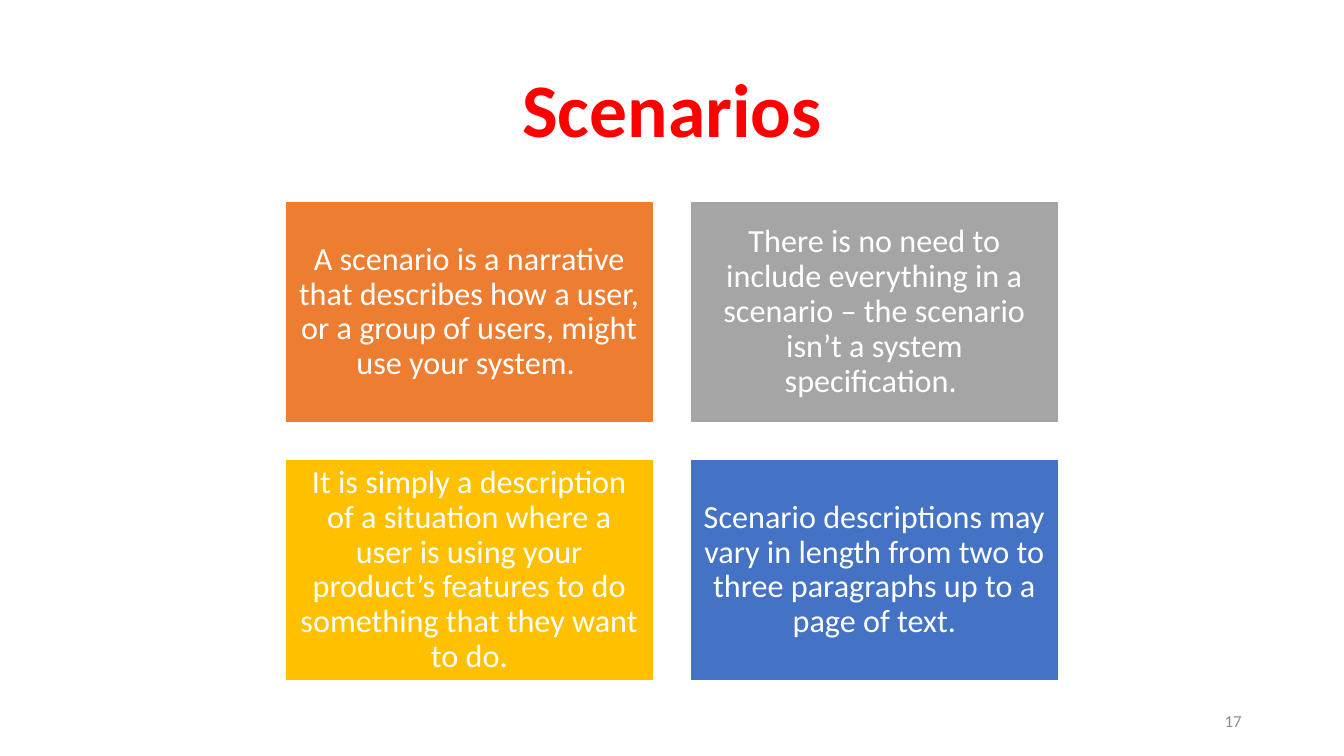
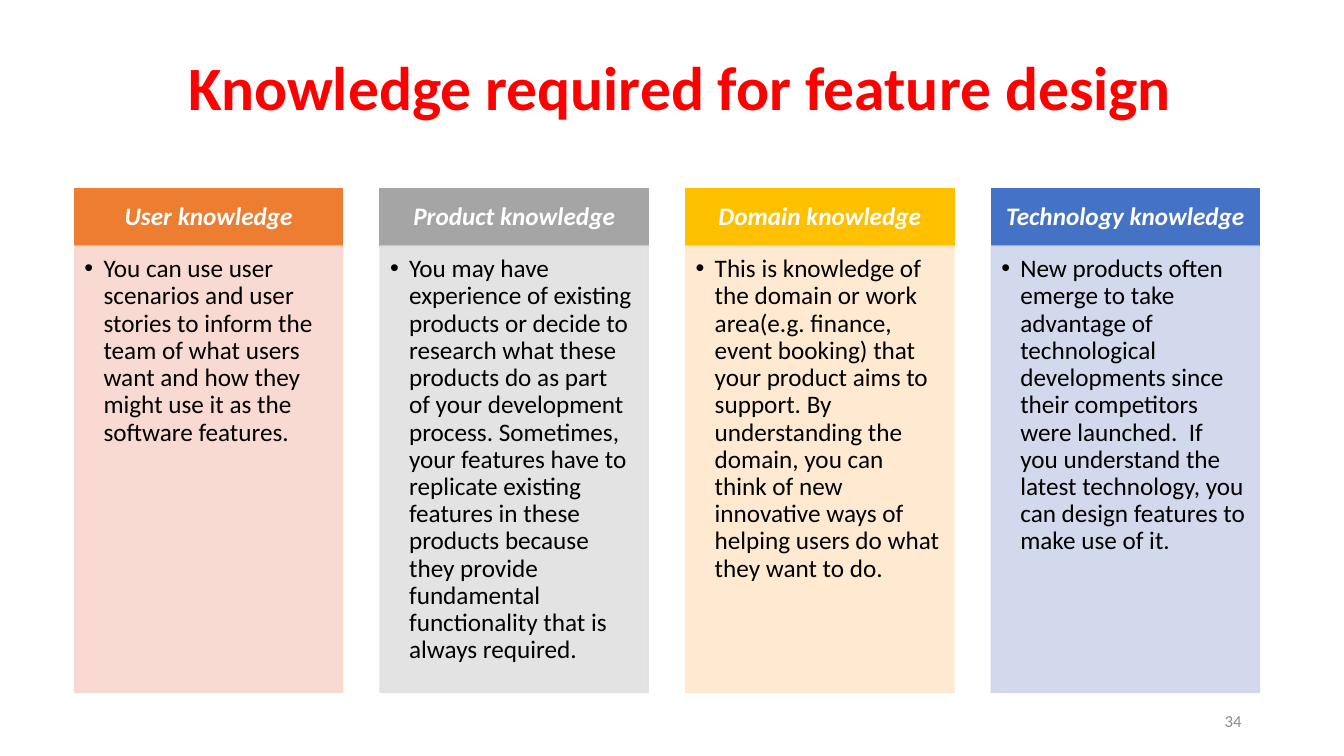
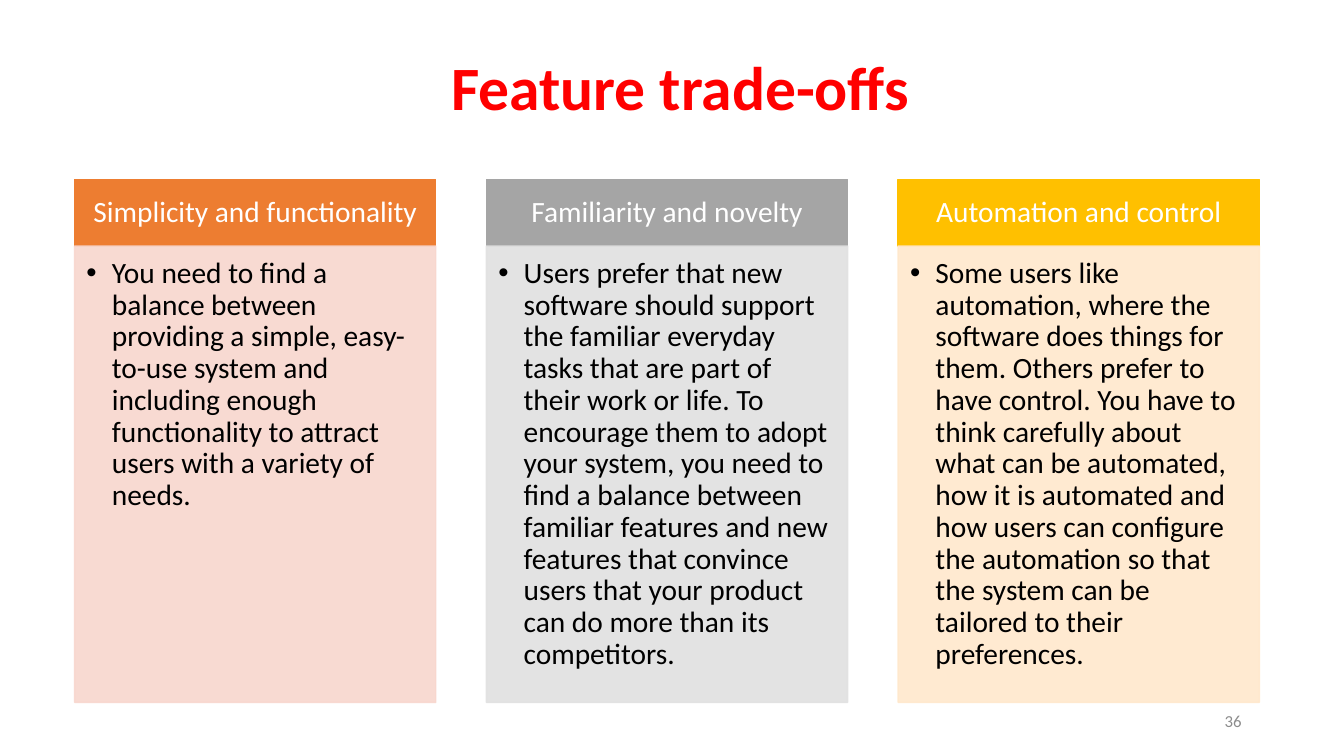
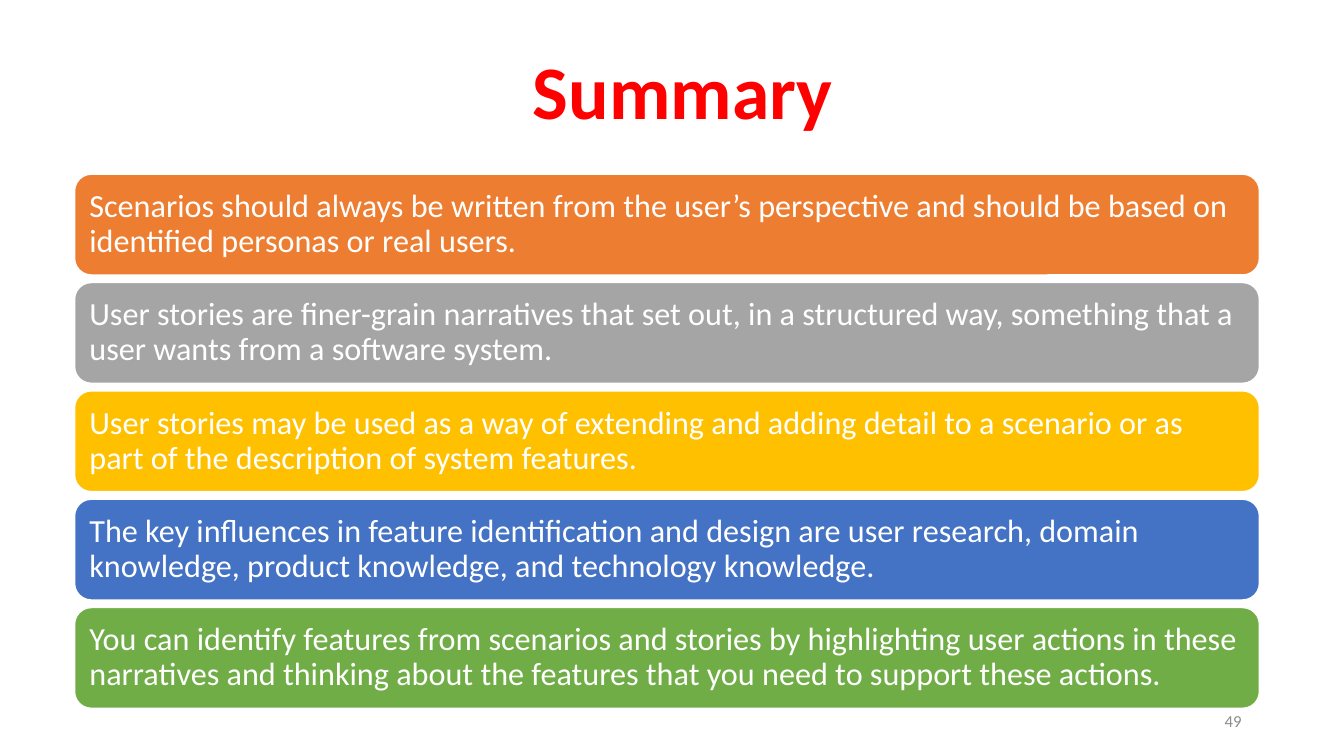
from dataclasses import dataclass

from lxml.etree import SubElement
from pptx import Presentation
from pptx.dml.color import RGBColor
from pptx.enum.shapes import MSO_SHAPE
from pptx.enum.text import MSO_ANCHOR, MSO_AUTO_SIZE, PP_ALIGN
from pptx.oxml.ns import qn
from pptx.shapes.autoshape import Shape
from pptx.slide import Slide
from pptx.text.text import TextFrame, _Paragraph
from pptx.util import Cm, Pt

FONT = "Calibri"
RED = RGBColor(0xFF, 0x00, 0x00)
WHITE = RGBColor(0xFF, 0xFF, 0xFF)
BLACK = RGBColor(0x00, 0x00, 0x00)
PAGE_GREY = RGBColor(0x8C, 0x8C, 0x8C)
ORANGE = RGBColor(0xED, 0x7D, 0x31)
GREY = RGBColor(0xA5, 0xA5, 0xA5)
GOLD = RGBColor(0xFF, 0xC0, 0x00)
BLUE = RGBColor(0x44, 0x72, 0xC4)
GREEN = RGBColor(0x70, 0xAD, 0x47)
ACCENTS = (ORANGE, GREY, GOLD, BLUE, GREEN)
TINTS = (
    RGBColor(0xF8, 0xD7, 0xCE),
    RGBColor(0xE1, 0xE1, 0xE1),
    RGBColor(0xFF, 0xE8, 0xCC),
    RGBColor(0xCF, 0xD5, 0xEA),
)
TINT_OPACITY = 90

# All lengths below are in centimetres.
CONTENT_LEFT = 1.88
CONTENT_WIDTH = 29.86
COLUMN_BODY_TOP = 6.2
COLUMN_GAP_SHARE = 0.14


@dataclass(frozen=True)
class Box:
    left: float
    top: float
    width: float
    height: float


@dataclass(frozen=True)
class TextStyle:
    size: float
    color: RGBColor
    align: PP_ALIGN = PP_ALIGN.LEFT
    bold: bool = False
    italic: bool = False
    line_spacing: float = 0.9


@dataclass(frozen=True)
class Insets:
    left: float = 0.25
    top: float = 0.25
    right: float = 0.25
    bottom: float = 0.25


@dataclass(frozen=True)
class Column:
    heading: str
    body: str


@dataclass(frozen=True)
class ColumnLayout:
    heading_height: float
    body_height: float
    heading_style: TextStyle
    heading_insets: Insets
    body_insets: Insets
    indent: float


TILE_STYLE = TextStyle(23, WHITE, PP_ALIGN.CENTER)
ROW_STYLE = TextStyle(23, WHITE)
PAGE_STYLE = TextStyle(12, PAGE_GREY, PP_ALIGN.RIGHT, line_spacing=1.0)
PAGE_BOX = Box(23.92, 17.66, 7.62, 1.01)
COLUMN_TITLE_BOX = Box(2.54, 1.17, 29.21, 2.23)

SCENARIO_TILES = (
    "A scenario is a narrative that describes how a user, or a group of users, "
    "might use your system. ",
    "There is no need to include everything in a scenario – the scenario isn’t "
    "a system specification. ",
    "It is simply a description of a situation where a user is using your "
    "product’s features to do something that they want to do.",
    "Scenario descriptions may vary in length from two to three paragraphs up "
    "to a page of text.",
)
KNOWLEDGE_COLUMNS = (
    Column(
        "User knowledge",
        "You can use user scenarios and user stories to inform the team of what "
        "users want and how they might use it as the software features.",
    ),
    Column(
        "Product knowledge",
        "You may have experience of existing products or decide to research what "
        "these products do as part of your development process. Sometimes, your "
        "features have to replicate existing features in these products because "
        "they provide fundamental functionality that is always required.",
    ),
    Column(
        "Domain knowledge",
        "This is knowledge of the domain or work area(e.g. finance, event "
        "booking) that your product aims to support. By understanding the "
        "domain, you can think of new innovative ways of helping users do what "
        "they want to do.",
    ),
    Column(
        "Technology knowledge",
        "New products often emerge to take advantage of technological "
        "developments since their competitors were launched.  If you understand "
        "the latest technology, you can design features to make use of it.",
    ),
)
KNOWLEDGE_LAYOUT = ColumnLayout(
    heading_height=1.45,
    body_height=11.25,
    heading_style=TextStyle(18, WHITE, PP_ALIGN.CENTER, bold=True, italic=True),
    heading_insets=Insets(0.36, 0.2, 0.36, 0.2),
    body_insets=Insets(0.25, 0.25, 0.36, 0.4),
    indent=0.48,
)
TRADE_OFF_COLUMNS = (
    Column(
        "Simplicity and functionality ",
        "You need to find a balance between providing a simple, easy-to-use "
        "system and including enough functionality to attract users with a "
        "variety of needs.",
    ),
    Column(
        "Familiarity and novelty",
        "Users prefer that new software should support the familiar everyday "
        "tasks that are part of their work or life. To encourage them to adopt "
        "your system, you need to find a balance between familiar features and "
        "new features that convince users that your product can do more than "
        "its competitors.",
    ),
    Column(
        "Automation and control",
        "Some users like automation, where the software does things for them. "
        "Others prefer to have control. You have to think carefully about what "
        "can be automated, how it is automated and how users can configure the "
        "automation so that the system can be tailored to their preferences.",
    ),
)
TRADE_OFF_LAYOUT = ColumnLayout(
    heading_height=1.68,
    body_height=11.5,
    heading_style=TextStyle(21, WHITE, PP_ALIGN.CENTER),
    heading_insets=Insets(0.41, 0.23, 0.41, 0.23),
    body_insets=Insets(0.3, 0.3, 0.41, 0.46),
    indent=0.64,
)
SUMMARY_ROWS = (
    "Scenarios should always be written from the user’s perspective and should "
    "be based on identified personas or real users.",
    "User stories are finer-grain narratives that set out, in a structured way, "
    "something that a user wants from a software system.",
    "User stories may be used as a way of extending and adding detail to a "
    "scenario or as part of the description of system features.",
    "The key influences in feature identification and design are user research, "
    "domain knowledge, product knowledge, and technology knowledge.",
    "You can identify features from scenarios and stories by highlighting user "
    "actions in these narratives and thinking about the features that you need "
    "to support these actions.",
)


def write_text(
    frame: TextFrame,
    text: str,
    style: TextStyle,
    insets: Insets | None = None,
    anchor: MSO_ANCHOR = MSO_ANCHOR.MIDDLE,
) -> _Paragraph:
    frame.word_wrap = True
    frame.auto_size = MSO_AUTO_SIZE.NONE
    frame.vertical_anchor = anchor
    if insets:
        frame.margin_left = Cm(insets.left)
        frame.margin_top = Cm(insets.top)
        frame.margin_right = Cm(insets.right)
        frame.margin_bottom = Cm(insets.bottom)
    paragraph = frame.paragraphs[0]
    paragraph.text = text
    paragraph.alignment = style.align
    paragraph.line_spacing = style.line_spacing
    font = paragraph.font
    font.name = FONT
    font.size = Pt(style.size)
    font.bold = style.bold
    font.italic = style.italic
    font.color.rgb = style.color
    return paragraph


def add_bullet(paragraph: _Paragraph, indent: float) -> None:
    """Give the paragraph a black round bullet with a hanging indent."""
    properties = paragraph._p.get_or_add_pPr()
    properties.set("marL", str(Cm(indent)))
    properties.set("indent", str(-Cm(indent)))
    bullet_color = SubElement(properties, qn("a:buClr"))
    SubElement(bullet_color, qn("a:srgbClr"), val=str(BLACK))
    SubElement(properties, qn("a:buFont"), typeface="Arial")
    SubElement(properties, qn("a:buChar"), char="•")
    # The schema wants the default run properties after the bullet.
    properties.append(properties.find(qn("a:defRPr")))


def add_panel(
    slide: Slide,
    kind: MSO_SHAPE,
    box: Box,
    fill: RGBColor,
    line: RGBColor,
) -> Shape:
    shape = slide.shapes.add_shape(
        kind, Cm(box.left), Cm(box.top), Cm(box.width), Cm(box.height)
    )
    shape.shadow.inherit = False
    shape.fill.solid()
    shape.fill.fore_color.rgb = fill
    shape.line.color.rgb = line
    shape.line.width = Pt(1)
    return shape


def set_opacity(shape: Shape, percent: int) -> None:
    """Apply the opacity to both the fill and the outline."""
    for color in shape._element.spPr.iter(qn("a:srgbClr")):
        SubElement(color, qn("a:alpha"), val=str(percent * 1000))


def add_titled_slide(
    presentation: Presentation, title: str, title_box: Box, size: float, number: int
) -> Slide:
    slide = presentation.slides.add_slide(
        presentation.slide_layouts.get_by_name("Title Only")
    )
    heading = slide.shapes.title
    heading.left, heading.top = Cm(title_box.left), Cm(title_box.top)
    heading.width, heading.height = Cm(title_box.width), Cm(title_box.height)
    style = TextStyle(size, RED, PP_ALIGN.CENTER, bold=True)
    write_text(heading.text_frame, title, style)

    page_number = slide.shapes.add_textbox(
        Cm(PAGE_BOX.left), Cm(PAGE_BOX.top), Cm(PAGE_BOX.width), Cm(PAGE_BOX.height)
    )
    write_text(page_number.text_frame, str(number), PAGE_STYLE)
    return slide


def add_tiles(slide: Slide, texts: tuple[str, ...]) -> None:
    left, top, width, height, gap = 7.19, 5.08, 9.28, 5.57, 0.93
    for index, (text, color) in enumerate(zip(texts, ACCENTS)):
        row, column = divmod(index, 2)
        box = Box(
            left + column * (width + gap), top + row * (height + gap), width, height
        )
        tile = add_panel(slide, MSO_SHAPE.RECTANGLE, box, color, WHITE)
        write_text(tile.text_frame, text, TILE_STYLE, Insets())


def add_columns(
    slide: Slide, columns: tuple[Column, ...], layout: ColumnLayout
) -> None:
    count = len(columns)
    width = CONTENT_WIDTH / (count + COLUMN_GAP_SHARE * (count - 1))
    pitch = width * (1 + COLUMN_GAP_SHARE)
    body_style = TextStyle(layout.heading_style.size, BLACK)
    for index, (column, accent, tint) in enumerate(zip(columns, ACCENTS, TINTS)):
        left = CONTENT_LEFT + index * pitch
        heading_box = Box(
            left,
            COLUMN_BODY_TOP - layout.heading_height,
            width,
            layout.heading_height,
        )
        heading = add_panel(slide, MSO_SHAPE.RECTANGLE, heading_box, accent, accent)
        write_text(
            heading.text_frame,
            column.heading,
            layout.heading_style,
            layout.heading_insets,
        )
        body_box = Box(left, COLUMN_BODY_TOP, width, layout.body_height)
        body = add_panel(slide, MSO_SHAPE.RECTANGLE, body_box, tint, tint)
        set_opacity(body, TINT_OPACITY)
        paragraph = write_text(
            body.text_frame,
            column.body,
            body_style,
            layout.body_insets,
            MSO_ANCHOR.TOP,
        )
        add_bullet(paragraph, layout.indent)


def add_rows(slide: Slide, texts: tuple[str, ...]) -> None:
    top, height, pitch = 4.39, 2.54, 2.73
    for index, (text, color) in enumerate(zip(texts, ACCENTS)):
        box = Box(CONTENT_LEFT, top + index * pitch, CONTENT_WIDTH, height)
        row = add_panel(slide, MSO_SHAPE.ROUNDED_RECTANGLE, box, color, WHITE)
        write_text(row.text_frame, text, ROW_STYLE, Insets())


def main() -> None:
    presentation = Presentation()
    presentation.slide_width = Cm(33.87)
    presentation.slide_height = Cm(19.05)

    scenarios = add_titled_slide(
        presentation, "Scenarios", Box(2.33, 1.01, 29.21, 3.68), 54, 17
    )
    add_tiles(scenarios, SCENARIO_TILES)

    knowledge = add_titled_slide(
        presentation,
        "Knowledge required for feature design",
        COLUMN_TITLE_BOX,
        44,
        34,
    )
    add_columns(knowledge, KNOWLEDGE_COLUMNS, KNOWLEDGE_LAYOUT)

    trade_offs = add_titled_slide(
        presentation, "Feature trade-offs", COLUMN_TITLE_BOX, 44, 36
    )
    add_columns(trade_offs, TRADE_OFF_COLUMNS, TRADE_OFF_LAYOUT)

    summary = add_titled_slide(
        presentation, "Summary", Box(2.6, 1.28, 29.21, 2.23), 54, 49
    )
    add_rows(summary, SUMMARY_ROWS)

    presentation.save("out.pptx")


if __name__ == "__main__":
    main()
